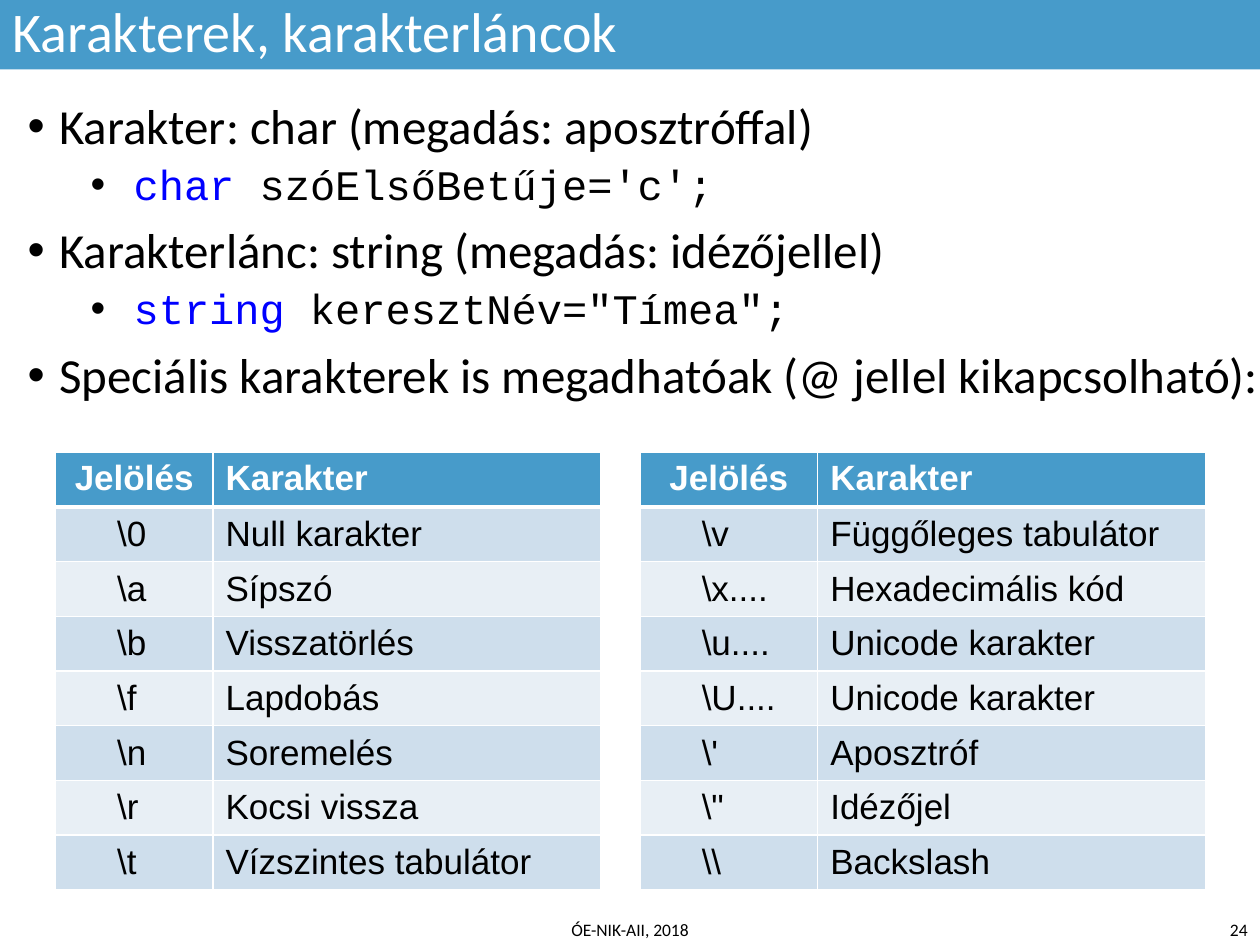
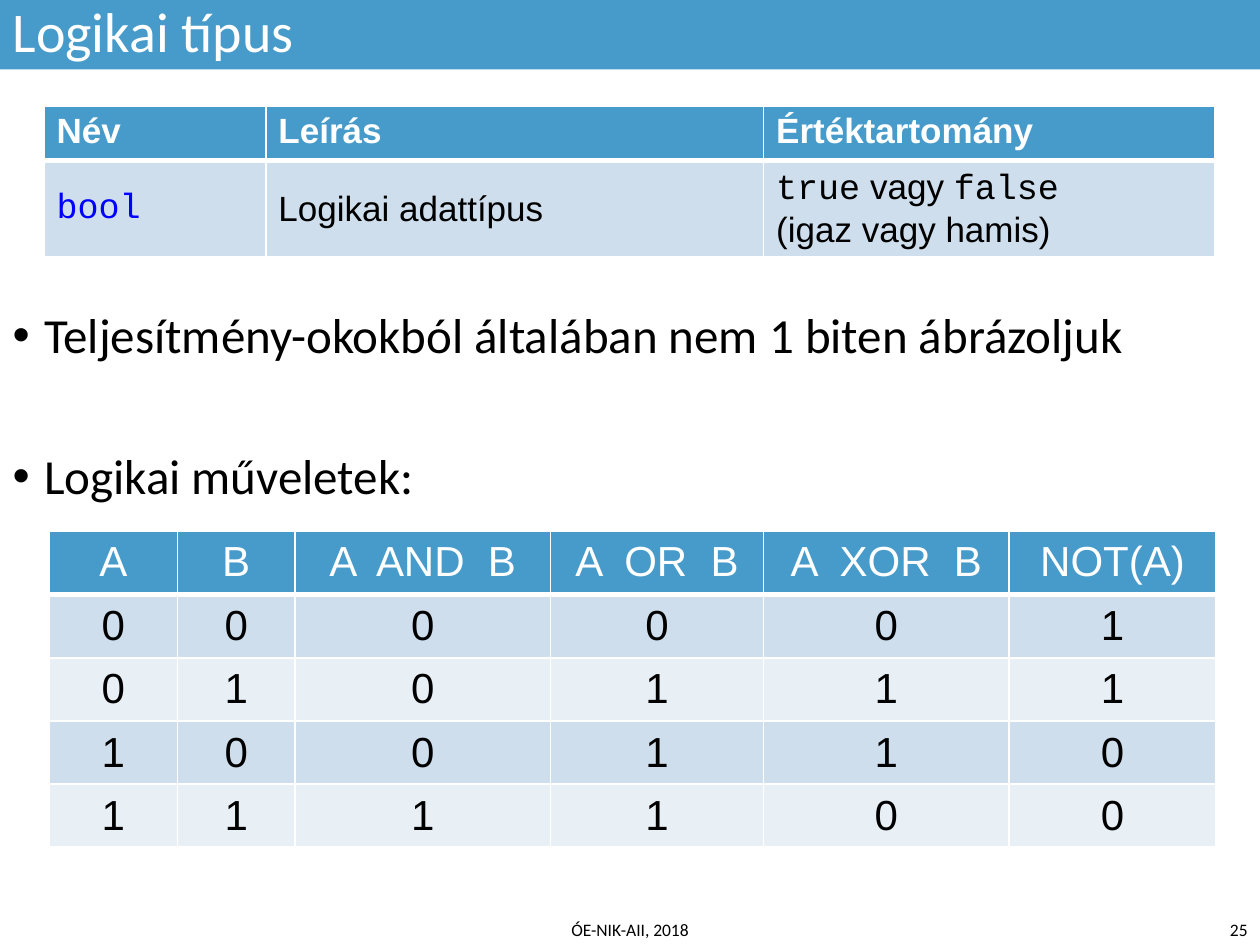
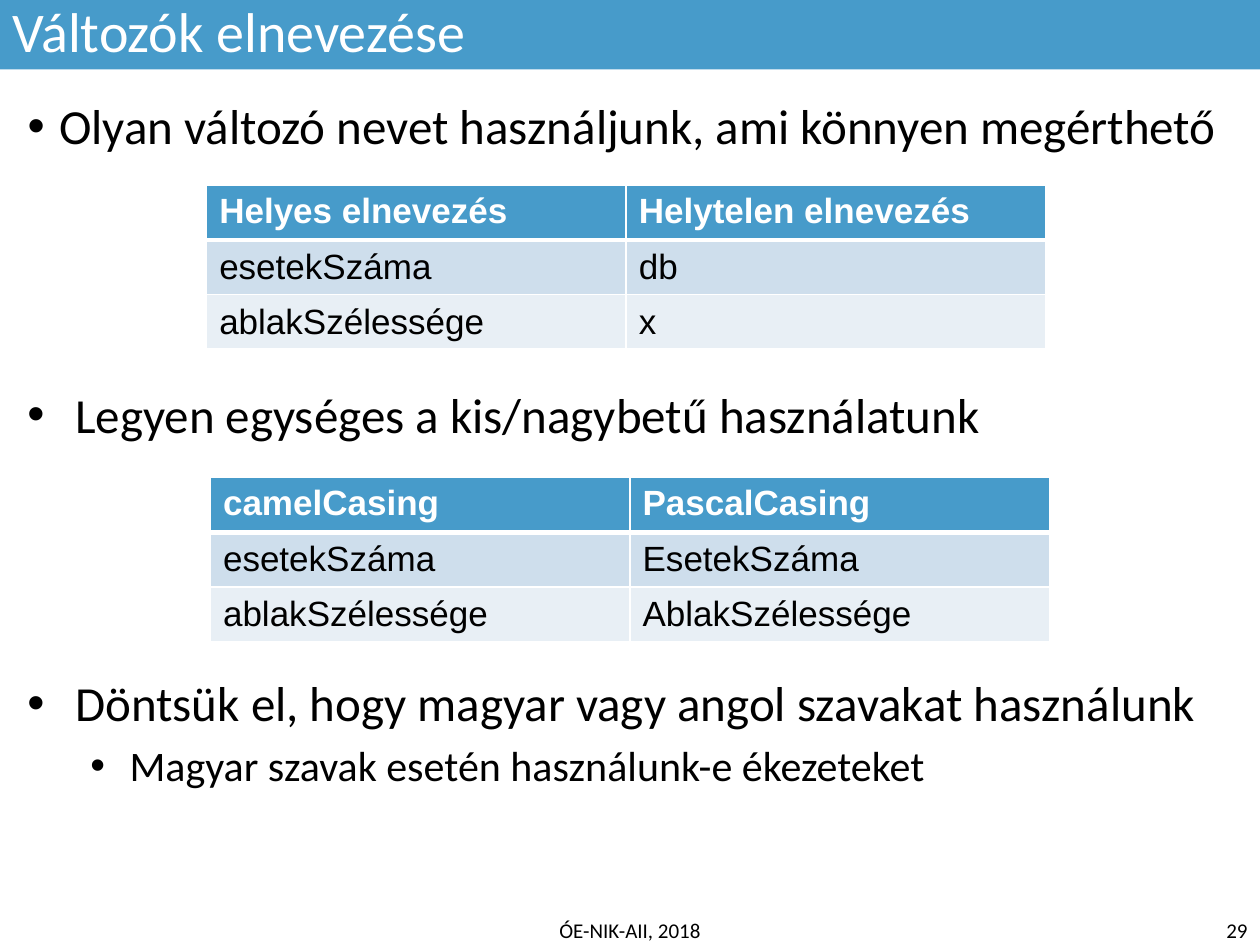
"""Build three lecture slides about C# characters, logic values and variable names."""
from typing import NamedTuple, Optional, Union

from lxml.etree import SubElement
from pptx import Presentation
from pptx.dml.color import RGBColor
from pptx.enum.text import MSO_ANCHOR as Anchor, MSO_AUTO_SIZE as AutoSize, PP_ALIGN as Align
from pptx.oxml.ns import qn
from pptx.util import Inches, Pt

BLUE = RGBColor(0x47, 0x9B, 0xCA)
BAND_DARK = RGBColor(0xCE, 0xDE, 0xEC)
BAND_LIGHT = RGBColor(0xE8, 0xEF, 0xF5)
WHITE = RGBColor(0xFF, 0xFF, 0xFF)
BLACK = RGBColor(0, 0, 0)
KEYWORD = RGBColor(0, 0, 0xFF)
SANS, TABLE_FONT, CODE = "Calibri", "Arial", "Courier New"
FOOTER = "ÓE-NIK-AII, 2018"

WIDTH, HEIGHT = Inches(10), Inches(7.5)
COLUMN, ROW = WIDTH / 100, HEIGHT / 75


class Box(NamedTuple):
    column: float
    row: float
    columns: float
    rows: float


class Span(NamedTuple):
    text: str
    font: Optional[str] = None
    color: Optional[RGBColor] = None


Content = Union[str, tuple[Span, ...]]


class Item(NamedTuple):
    content: Content
    left: float = 0.25
    hang: float = 0.25
    size: float = 28
    before: float = 0
    level: int = 0
    font: str = SANS
    spacing: float = 0.9


class Grid(NamedTuple):
    column: float
    row: float
    widths: tuple[float, ...]
    heights: tuple[float, ...]
    cells: list[tuple[Content, ...]]
    size: float = 20
    bold_header: bool = True
    centred: bool = False
    symbols: bool = False


def place(shape, box: Box) -> None:
    shape.left, shape.width = round(box.column * COLUMN), round(box.columns * COLUMN)
    shape.top, shape.height = round(box.row * ROW), round(box.rows * ROW)


def style(font, name: str, size: float, color: RGBColor, bold: bool = False) -> None:
    font.name, font.size, font.bold = name, Pt(size), bold
    font.color.rgb = color


def write(para, content: Content) -> None:
    for span in (Span(content),) if isinstance(content, str) else content:
        if span.text == "\n":
            para.add_line_break()
            continue
        run = para.add_run()
        run.text = span.text
        if span.font:
            run.font.name = span.font
        if span.color is not None:
            run.font.color.rgb = span.color


def add_bullet(para, left: float, hang: float) -> None:
    properties = para._p.get_or_add_pPr()
    properties.set("marL", str(Inches(left)))
    properties.set("indent", str(-Inches(hang)))
    color = SubElement(properties, qn("a:buClr"))
    SubElement(color, qn("a:srgbClr"), val=str(BLACK))
    SubElement(properties, qn("a:buFont"), typeface="Arial")
    SubElement(properties, qn("a:buChar"), char="•")


def fill_list(shape, box: Box, items: list[Item]) -> None:
    place(shape, box)
    frame = shape.text_frame
    frame.word_wrap, frame.auto_size = True, AutoSize.NONE
    for index, item in enumerate(items):
        para = frame.add_paragraph() if index else frame.paragraphs[0]
        para.level, para.line_spacing = item.level, item.spacing
        para.space_before = Pt(item.before)
        add_bullet(para, item.left, item.hang)
        style(para.font, item.font, item.size, BLACK)
        write(para, item.content)


def add_list(page, box: Box, items: list[Item]) -> None:
    fill_list(page.shapes.add_textbox(0, 0, 0, 0), box, items)


def add_label(page, box: Box, text: str, align: Align, size: float) -> None:
    shape = page.shapes.add_textbox(0, 0, 0, 0)
    place(shape, box)
    frame = shape.text_frame
    frame.word_wrap, frame.vertical_anchor = True, Anchor.MIDDLE
    para = frame.paragraphs[0]
    para.alignment = align
    style(para.font, SANS, size, BLACK)
    write(para, text)


def add_page(deck, title: str, number: int, box: Box, items: list[Item], footer_size: float = 10):
    page = deck.slides.add_slide(deck.slide_layouts[1])
    head, body = page.placeholders
    place(head, Box(0, 0, 100, 5.5))
    head.fill.solid()
    head.fill.fore_color.rgb = BLUE
    frame = head.text_frame
    frame.auto_size, frame.vertical_anchor = AutoSize.NONE, Anchor.MIDDLE
    para = frame.paragraphs[0]
    para.alignment, para.line_spacing = Align.LEFT, 0.9
    style(para.font, SANS, 32, WHITE)
    write(para, title)
    fill_list(body, box, items)
    add_label(page, Box(22.5, 72.6, 55, 2.4), FOOTER, Align.CENTER, footer_size)
    add_label(page, Box(77.5, 72.6, 22.5, 2.4), str(number), Align.RIGHT, footer_size)
    return page


def add_borders(cell, row: int) -> None:
    properties = cell._tc.get_or_add_tcPr()
    thick_side = {0: "lnB", 1: "lnT"}.get(row)
    for side in ("lnL", "lnR", "lnT", "lnB"):
        line = SubElement(properties, qn(f"a:{side}"), w=str(Pt(3 if side == thick_side else 1)))
        paint = SubElement(line, qn("a:solidFill"))
        SubElement(paint, qn("a:srgbClr"), val=str(WHITE))


def add_grid(page, grid: Grid) -> None:
    box = Box(grid.column, grid.row, sum(grid.widths), sum(grid.heights))
    frame = page.shapes.add_table(len(grid.heights), len(grid.widths), 0, 0, WIDTH, HEIGHT)
    place(frame, box)
    table = frame.table
    table.horz_banding = False
    for column, width in zip(table.columns, grid.widths):
        column.width = round(width * COLUMN)
    for row, height in zip(table.rows, grid.heights):
        row.height = round(height * ROW)
    for row, contents in enumerate(grid.cells):
        header = row == 0
        for column, content in enumerate(contents):
            cell = table.cell(row, column)
            add_borders(cell, row)
            cell.fill.solid()
            cell.fill.fore_color.rgb = BLUE if header else (BAND_LIGHT, BAND_DARK)[row % 2]
            cell.vertical_anchor = Anchor.TOP if header else Anchor.MIDDLE
            para = cell.text_frame.paragraphs[0]
            symbol = grid.symbols and column == 0
            if grid.centred or (symbol and header):
                para.alignment = Align.CENTER
            if symbol and not header:
                cell.margin_left = Inches(0.49)
            style(para.font, TABLE_FONT, grid.size, WHITE if header else BLACK,
                  header and grid.bold_header)
            write(para, content)


def code_item(keyword: str, rest: str) -> Item:
    return Item((Span(keyword, color=KEYWORD), Span(rest)),
                left=0.84, hang=0.34, size=24, before=5, level=1, font=CODE)


def build_characters(deck) -> None:
    page = add_page(deck, "Karakterek, karakterláncok", 24, Box(1.2, 7.6, 100, 29.1), [
        Item("Karakter: char (megadás: aposztróffal)"),
        code_item("char", " szóElsőBetűje='c';"),
        Item("Karakterlánc: string (megadás: idézőjellel)", before=10),
        code_item("string", " keresztNév=\"Tímea\";"),
        Item("Speciális karakterek is megadhatóak (@ jellel kikapcsolható):", before=10),
    ])
    header = ("Jelölés", "Karakter")
    left = [("\\0", "Null karakter"), ("\\a", "Sípszó"), ("\\b", "Visszatörlés"),
            ("\\f", "Lapdobás"), ("\\n", "Soremelés"), ("\\r", "Kocsi vissza"),
            ("\\t", "Vízszintes tabulátor")]
    right = [("\\v", "Függőleges tabulátor"), ("\\x....", "Hexadecimális kód"),
             ("\\u....", "Unicode karakter"), ("\\U....", "Unicode karakter"),
             ("\\'", "Aposztróf"), ("\\\"", "Idézőjel"), ("\\\\", "Backslash")]
    for column, symbol_width, rows in ((4.4, 12.5, left), (50.8, 14.1, right)):
        add_grid(page, Grid(column, 35.9, (symbol_width, 30.8), (4.12,) * 8,
                            [header, *rows], symbols=True))


def build_logic(deck) -> None:
    page = add_page(deck, "Logikai típus", 25, Box(0, 24.2, 97.7, 17.2), [
        Item("Teljesítmény-okokból általában nem 1 biten ábrázoljuk"),
        Item("Logikai műveletek:", before=50.5),
    ])
    truth = [tuple(str(int(value)) for value in (a, b, a and b, a or b, a != b, not a))
             for a in (0, 1) for b in (0, 1)]
    add_grid(page, Grid(3.9, 42.2, (10.2, 9.3, 20.3, 16.9, 19.5, 16.4), (4.72,) * 5,
                        [("A", "B", "A  AND  B", "A  OR  B", "A  XOR  B", "NOT(A)"), *truth],
                        size=24, bold_header=False, centred=True))
    values = (Span("true", CODE), Span(" vagy "), Span("false", CODE), Span("\n"),
              Span("(igaz vagy hamis)"))
    add_grid(page, Grid(3.5, 8.4, (17.6, 39.5, 35.8), (4.1, 7.3), [
        ("Név", "Leírás", "Értéktartomány"),
        ((Span("bool", CODE, KEYWORD),), "Logikai adattípus", values),
    ]))


def build_naming(deck) -> None:
    page = add_page(deck, "Változók elnevezése", 29, Box(1.2, 7.6, 97.6, 10.2), [
        Item("Olyan változó nevet használjunk, ami könnyen megérthető"),
    ], footer_size=12)
    widths, heights = (33.3,) * 2, (4.1,) * 3
    add_grid(page, Grid(16.4, 14.7, widths, heights, [
        ("Helyes elnevezés", "Helytelen elnevezés"),
        ("esetekSzáma", "db"),
        ("ablakSzélessége", "x"),
    ]))
    add_list(page, Box(1.2, 30, 97.6, 5.9), [
        Item("Legyen egységes a kis/nagybetű használatunk", 0.38, 0.38, spacing=1),
    ])
    add_grid(page, Grid(16.7, 37.9, widths, heights, [
        ("camelCasing", "PascalCasing"),
        ("esetekSzáma", "EsetekSzáma"),
        ("ablakSzélessége", "AblakSzélessége"),
    ]))
    add_list(page, Box(1.2, 52.9, 97.6, 10.8), [
        Item("Döntsük el, hogy magyar vagy angol szavakat használunk", 0.38, 0.38, spacing=1),
        Item("Magyar szavak esetén használunk-e ékezeteket", 0.81, 0.31, 24, 4.8, 1, spacing=1),
    ])


def main() -> None:
    deck = Presentation()
    deck.slide_width, deck.slide_height = WIDTH, HEIGHT
    for build in (build_characters, build_logic, build_naming):
        build(deck)
    deck.save("out.pptx")


if __name__ == "__main__":
    main()
